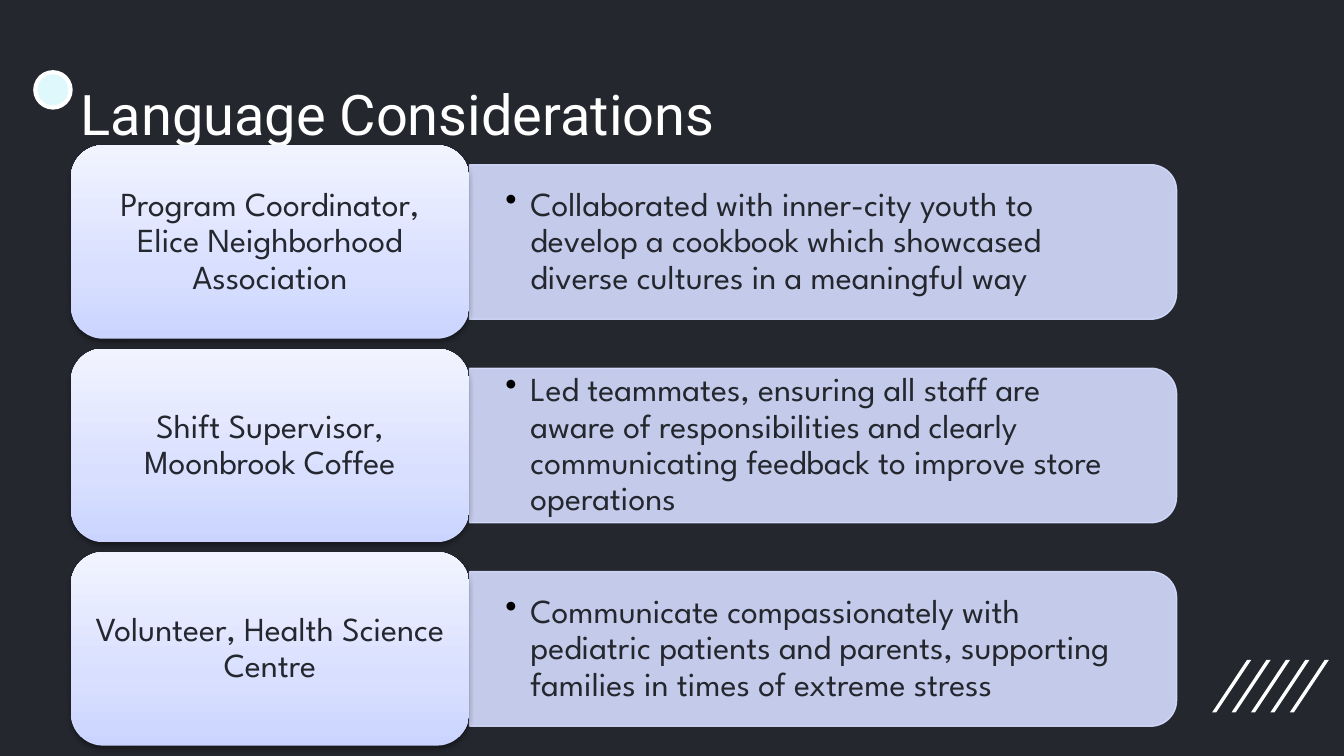
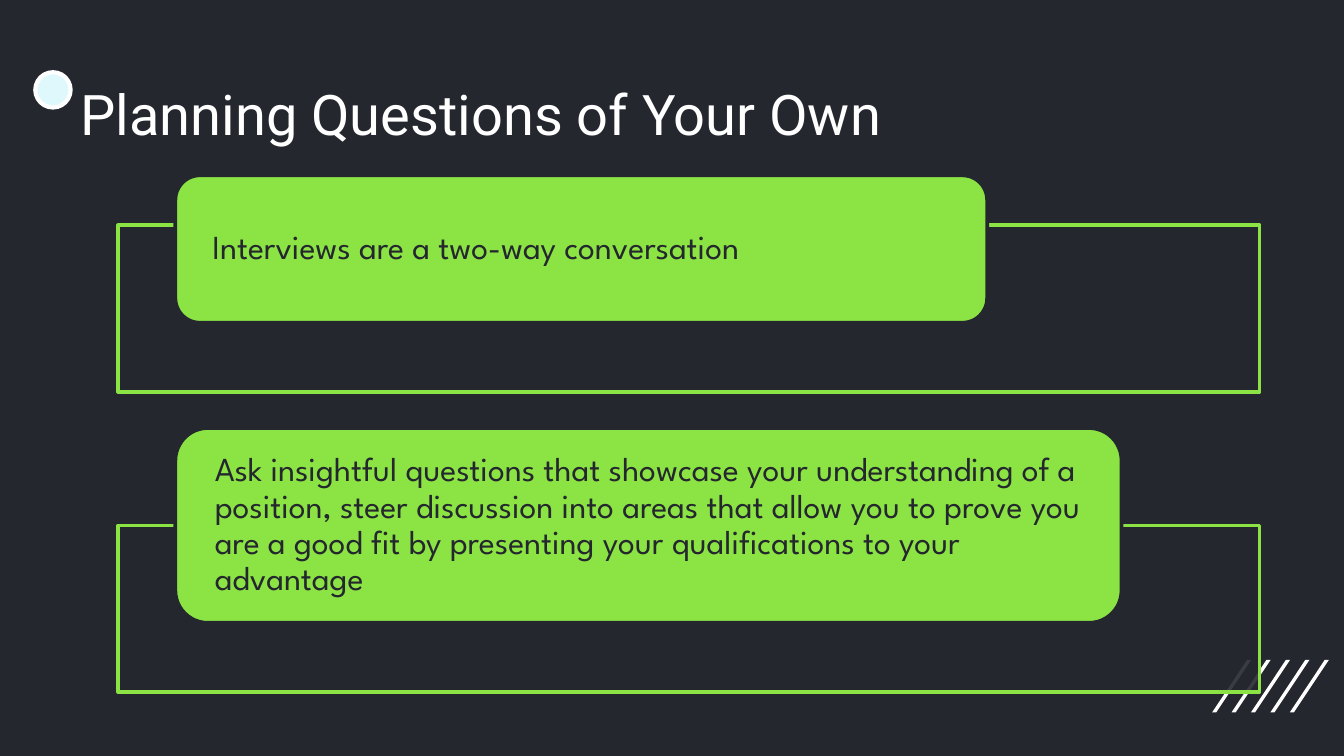
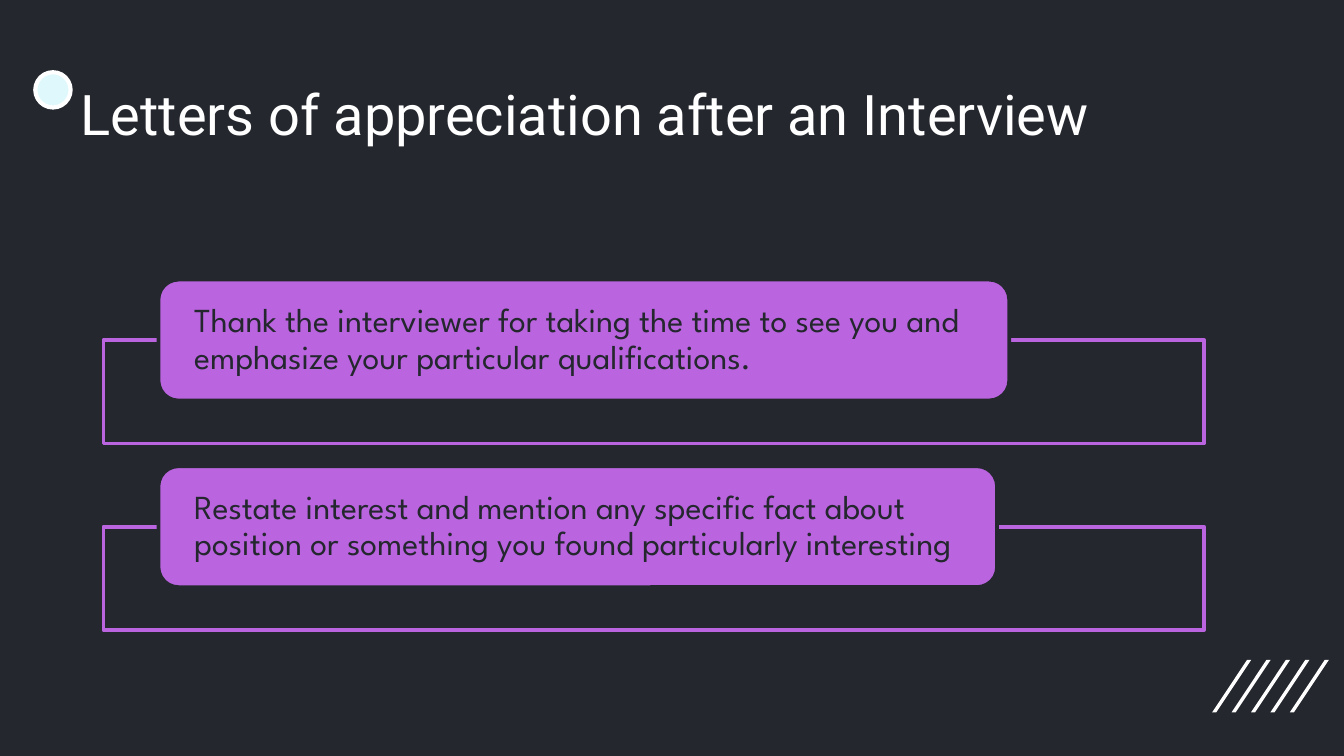
from dataclasses import dataclass

from lxml import etree
from pptx import Presentation
from pptx.dml.color import RGBColor
from pptx.enum.shapes import MSO_SHAPE
from pptx.enum.text import MSO_ANCHOR, MSO_AUTO_SIZE, PP_ALIGN
from pptx.oxml.ns import qn
from pptx.util import Pt

ELLIPSE = MSO_SHAPE.OVAL
RECTANGLE = MSO_SHAPE.RECTANGLE
ROUNDED = MSO_SHAPE.ROUNDED_RECTANGLE
TWO_ROUNDED = MSO_SHAPE.ROUND_2_SAME_RECTANGLE
TOP, MIDDLE = MSO_ANCHOR.TOP, MSO_ANCHOR.MIDDLE
LEFT, CENTER = PP_ALIGN.LEFT, PP_ALIGN.CENTER
NO_AUTOSIZE = MSO_AUTO_SIZE.NONE

DARK, WHITE, BLACK, ICE = "24272E", "FFFFFF", "000000", "DFF8FC"
LAVENDER, GREEN, PURPLE = "D6DDFF", "8CE444", "BA64E0"
LABEL_STOPS = ((0, "CAD4FF"), (35, "D9E0FF"), (100, "F1F3FF"))
TITLE_FONT, BODY_FONT = "Roboto", "League Spartan"
CORNER_INSET = 0.049


@dataclass(frozen=True)
class Area:
    left: float
    top: float
    width: float
    height: float

    def lengths(self):
        return Pt(self.left), Pt(self.top), Pt(self.width), Pt(self.height)

    def inside_corners(self):
        inset = self.height * CORNER_INSET
        return Area(self.left + inset, self.top + inset,
                    self.width - 2 * inset, self.height - 2 * inset)


@dataclass(frozen=True)
class Role:
    name: str
    duty: str


@dataclass(frozen=True)
class Card:
    frame_top: float
    width: float
    height: float
    words: str


@dataclass(frozen=True)
class CardStack:
    title: str
    title_area: Area
    color: str
    frame_left: float
    frame_width: float
    frame_height: float
    overlap: float
    cards: tuple[Card, ...]


TITLE_AREA = Area(43.2, 46.8, 485.3, 31)
ROLES = (
    Role("Program Coordinator, Elice Neighborhood Association",
         "Collaborated with inner-city youth to develop a cookbook which "
         "showcased diverse cultures in a meaningful way"),
    Role("Shift Supervisor, Moonbrook Coffee",
         "Led teammates, ensuring all staff are aware of responsibilities and "
         "clearly communicating feedback to improve store operations"),
    Role("Volunteer, Health Science Centre",
         "Communicate compassionately with pediatric patients and parents, "
         "supporting families in times of extreme stress"),
)
STACKS = (
    CardStack("Planning Questions of Your Own", TITLE_AREA, GREEN,
              63.4, 611.3, 89.3, 52.2, (
                  Card(120.7, 434.9, 79, "Interviews are a two-way conversation"),
                  Card(281.5, 506.9, 104.4,
                       "Ask insightful questions that showcase your understanding of a "
                       "position, steer discussion into areas that allow you to prove "
                       "you are a good fit by presenting your qualifications to your "
                       "advantage"),
              )),
    CardStack("Letters of appreciation after an Interview",
              Area(43.2, 46.8, 602.6, 39.6), PURPLE,
              55.4, 589.7, 55.4, 32.4, (
                  Card(182.2, 455.8, 64.8,
                       "Thank the interviewer for taking the time to see you and "
                       "emphasize your particular qualifications."),
                  Card(282.2, 449.3, 64.8,
                       "Restate interest and mention any specific fact about position "
                       "or something you found particularly interesting"),
              )),
)


def color(value: str) -> RGBColor:
    return RGBColor.from_string(value)


def add_color(parent, value: str, opacity: int = 100):
    node = etree.SubElement(parent, qn("a:srgbClr"), val=value)
    if opacity < 100:
        etree.SubElement(node, qn("a:alpha"), val=str(opacity * 1000))


def fade(shape, opacity: int):
    for node in shape.element.spPr.iter(qn("a:srgbClr")):
        etree.SubElement(node, qn("a:alpha"), val=str(opacity * 1000))


def paint(shape, fill: str, line: str | None = None, weight: float = 0):
    shape.shadow.inherit = False
    shape.fill.solid()
    shape.fill.fore_color.rgb = color(fill)
    if line:
        shape.line.color.rgb = color(line)
        shape.line.width = Pt(weight)
    else:
        shape.line.fill.background()


def paint_label(shape):
    paint(shape, WHITE)
    shape.fill.gradient()
    shape.fill.gradient_angle = 90
    stops = shape.element.spPr.find(".//" + qn("a:gsLst"))
    for stop in list(stops):
        stops.remove(stop)
    for position, value in LABEL_STOPS:
        add_color(etree.SubElement(stops, qn("a:gs"), pos=str(position * 1000)), value)
    effects = shape.element.spPr.find(qn("a:effectLst"))
    shadow = etree.SubElement(
        effects, qn("a:outerShdw"), blurRad=str(Pt(3.1)), dist=str(Pt(1.6)),
        dir="5400000", rotWithShape="0")
    add_color(shadow, BLACK, 38)


def write(box, words: str, font: str, size: float, value: str,
          side: float = 0, edge: float = 0, anchor=MIDDLE, align=LEFT):
    frame = box.text_frame
    frame.word_wrap = True
    frame.auto_size = NO_AUTOSIZE
    frame.vertical_anchor = anchor
    frame.margin_left = frame.margin_right = Pt(side)
    frame.margin_top = frame.margin_bottom = Pt(edge)
    para = frame.paragraphs[0]
    para.alignment = align
    para.line_spacing = 0.9
    span = para.add_run()
    span.text = words
    span.font.name = font
    span.font.size = Pt(size)
    span.font.color.rgb = color(value)
    return para


def add_body(page, area: Area, words: str, side: float, edge: float = 0, align=LEFT):
    box = page.shapes.add_textbox(*area.lengths())
    return write(box, words, BODY_FONT, 18, DARK, side, edge, align=align)


def add_bullet(para):
    para.level = 1
    properties = para._p.get_or_add_pPr()
    properties.set("marL", str(Pt(13.5)))
    properties.set("indent", str(-Pt(13.5)))
    add_color(etree.SubElement(properties, qn("a:buClr")), BLACK)
    etree.SubElement(properties, qn("a:buChar"), char="•")


def add_page(deck, layout, title: str, area: Area):
    page = deck.slides.add_slide(layout)
    box = page.shapes.title
    box.left, box.top, box.width, box.height = area.lengths()
    write(box, title, TITLE_FONT, 30, WHITE, anchor=TOP)
    return page


def add_stripe(page, left: float):
    top, bottom, slant, thickness = 353.5, 381.6, 18.7, 2.2
    builder = page.shapes.build_freeform(Pt(left + thickness), Pt(bottom))
    builder.add_line_segments([
        (Pt(left), Pt(bottom)),
        (Pt(left + slant), Pt(top)),
        (Pt(left + slant + thickness), Pt(top)),
    ])
    stripe = builder.convert_to_shape()
    paint(stripe, WHITE)
    return stripe


def decorate_layout(deck, layout, page):
    for holder in deck.slide_master.placeholders:
        holder.top, holder.height = int(holder.top * 0.75), int(holder.height * 0.75)
    for holder in list(layout.placeholders):
        if holder.placeholder_format.idx:
            layout.shapes.element.remove(holder.element)
    fill = deck.slide_master.background.fill
    fill.solid()
    fill.fore_color.rgb = color(DARK)
    decorations = [add_stripe(page, 649.4 + 10.4 * index) for index in range(5)]
    dot = page.shapes.add_shape(ELLIPSE, *Area(18.9, 38.7, 18.9, 18.9).lengths())
    paint(dot, ICE, WHITE, 2.25)
    for number, shape in enumerate([*decorations, dot], start=20):
        shape.element.find(".//" + qn("p:cNvPr")).set("id", str(number))
        layout.shapes.element.append(shape.element)


def add_role(page, role: Role, top: float):
    label_area = Area(38, top, 213.3, 103.7)
    length, thickness = 378.7, 82.8
    bar_area = Area(251.6 + (length - thickness) / 2,
                    top + (label_area.height - length) / 2, thickness, length)
    bar = page.shapes.add_shape(TWO_ROUNDED, *bar_area.lengths())
    bar.rotation = 90
    paint(bar, LAVENDER, LAVENDER, 0.75)
    fade(bar, 90)
    duty_area = Area(251.3, top + 14.4, 375, 74.9)
    add_bullet(add_body(page, duty_area, role.duty, 19.4, 10))
    label = page.shapes.add_shape(ROUNDED, *label_area.lengths())
    paint_label(label)
    add_body(page, label_area.inside_corners(), role.name, 5, 3, CENTER)


def add_card(page, stack: CardStack, card: Card):
    frame_area = Area(stack.frame_left, card.frame_top,
                      stack.frame_width, stack.frame_height)
    frame = page.shapes.add_shape(RECTANGLE, *frame_area.lengths())
    paint(frame, DARK)
    fade(frame, 90)
    frame.line.color.rgb = color(stack.color)
    frame.line.width = Pt(2)
    card_area = Area(stack.frame_left + stack.frame_width * 0.05,
                     card.frame_top + stack.overlap - card.height,
                     card.width, card.height)
    panel = page.shapes.add_shape(ROUNDED, *card_area.lengths())
    paint(panel, stack.color, DARK, 2)
    add_body(page, card_area.inside_corners(), card.words, 16)


def main():
    deck = Presentation()
    deck.slide_width, deck.slide_height = Pt(720), Pt(405)
    layout = deck.slide_layouts[5]
    page = add_page(deck, layout, "Language Considerations", TITLE_AREA)
    decorate_layout(deck, layout, page)
    for index, role in enumerate(ROLES):
        add_role(page, role, 77.8 + 109 * index)
    for stack in STACKS:
        page = add_page(deck, layout, stack.title, stack.title_area)
        for card in stack.cards:
            add_card(page, stack, card)
    deck.save("out.pptx")


if __name__ == "__main__":
    main()
